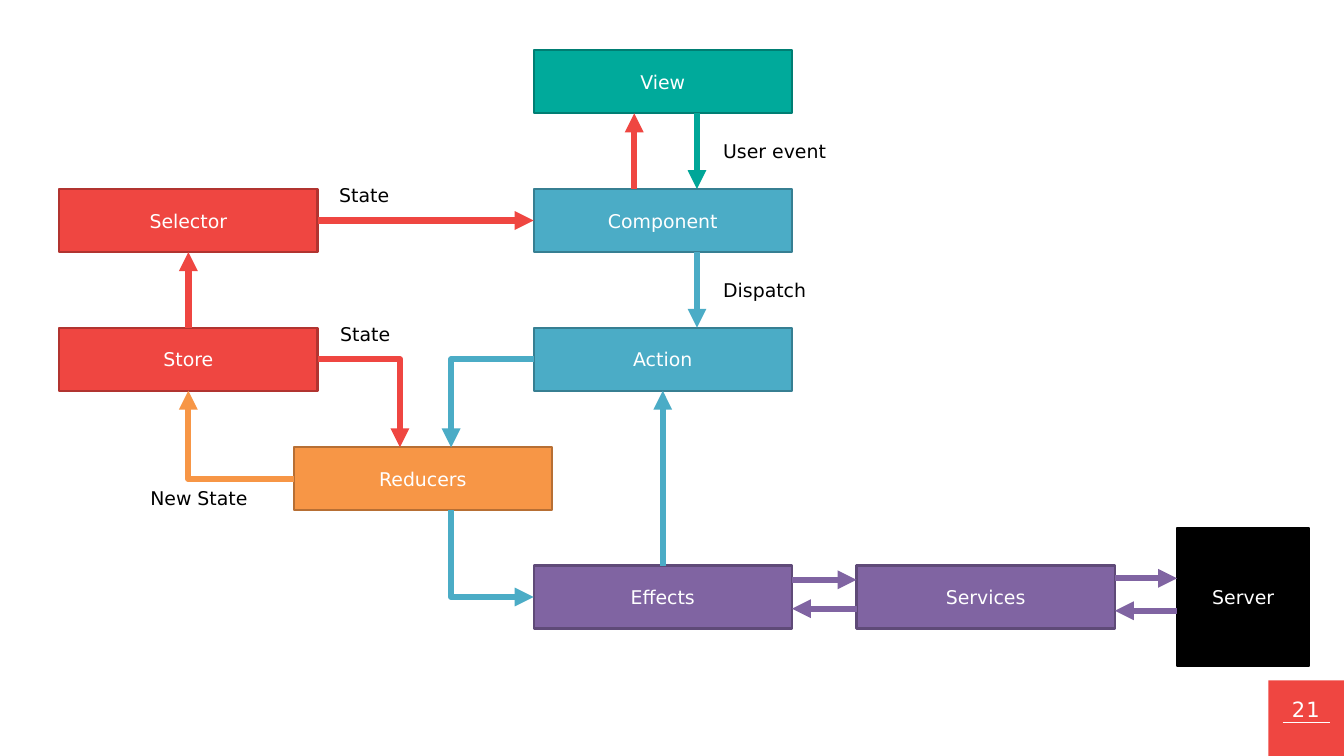
from lxml import etree
from pptx import Presentation
from pptx.dml.color import RGBColor
from pptx.enum.shapes import MSO_CONNECTOR, MSO_SHAPE
from pptx.enum.text import MSO_ANCHOR, MSO_AUTO_SIZE, PP_ALIGN
from pptx.oxml.ns import qn
from pptx.util import Cm, Pt

RECTANGLE = MSO_SHAPE.RECTANGLE
STRAIGHT, ELBOW = MSO_CONNECTOR.STRAIGHT, MSO_CONNECTOR.ELBOW
CENTER, MIDDLE = PP_ALIGN.CENTER, MSO_ANCHOR.MIDDLE
FIT_TEXT = MSO_AUTO_SIZE.SHAPE_TO_FIT_TEXT
TOP, LEFT, BOTTOM, RIGHT = range(4)

FONT = "DejaVu Sans"
WHITE = RGBColor(0xFF, 0xFF, 0xFF)
BLACK = RGBColor(0x00, 0x00, 0x00)
GREEN = RGBColor(0x00, 0xAA, 0x9B)
GREEN_EDGE = RGBColor(0x00, 0x7E, 0x73)
GREEN_ARROW = RGBColor(0x00, 0xA6, 0x98)
BLUE = RGBColor(0x4B, 0xAC, 0xC6)
BLUE_EDGE = RGBColor(0x37, 0x7F, 0x92)
RED = RGBColor(0xEF, 0x46, 0x41)
RED_EDGE = RGBColor(0xB1, 0x34, 0x30)
ORANGE = RGBColor(0xF7, 0x96, 0x46)
ORANGE_EDGE = RGBColor(0xB7, 0x6F, 0x34)
PURPLE = RGBColor(0x80, 0x64, 0xA2)
PURPLE_EDGE = RGBColor(0x5F, 0x4A, 0x78)

# Grid, in centimetres
BOX_WIDTH, BOX_HEIGHT = 8.68, 2.12
STORE_LEFT, REDUCERS_LEFT, MAIN_LEFT, SERVICES_LEFT = 1.99, 9.87, 17.93, 28.78
VIEW_TOP, COMPONENT_TOP, ACTION_TOP = (1.69 + 4.66 * row for row in range(3))
REDUCERS_TOP, EFFECTS_TOP = 15.03, 19.0


def add_run(paragraph, text, color, size=18):
    run = paragraph.add_run()
    run.text = text
    run.font.name = FONT
    run.font.size = Pt(size)
    run.font.color.rgb = color
    return run


def add_box(slide, text, left, top, fill, edge, width=BOX_WIDTH, height=BOX_HEIGHT):
    shape = slide.shapes.add_shape(RECTANGLE, Cm(left), Cm(top), Cm(width), Cm(height))
    shape.shadow.inherit = False
    shape.fill.solid()
    shape.fill.fore_color.rgb = fill
    shape.line.color.rgb = edge
    shape.line.width = Pt(2)
    shape.text_frame.vertical_anchor = MIDDLE
    paragraph = shape.text_frame.paragraphs[0]
    paragraph.alignment = CENTER
    add_run(paragraph, text, WHITE)
    return shape


def add_label(slide, text, left, top, width):
    label = slide.shapes.add_textbox(Cm(left), Cm(top), Cm(width), Cm(1.03))
    label.text_frame.word_wrap = False
    label.text_frame.auto_size = FIT_TEXT
    add_run(label.text_frame.paragraphs[0], text, BLACK)


def add_line(slide, kind, begin, end, color, width):
    line = slide.shapes.add_connector(kind, *begin, *end)
    line.line.color.rgb = color
    line.line.width = Pt(width)
    etree.SubElement(line._element.spPr, qn("a:effectLst"))
    return line


def add_arrow(slide, begin, end, color, kind=STRAIGHT):
    arrow = add_line(slide, kind, begin, end, color, 6)
    outline = arrow.line._get_or_add_ln()
    etree.SubElement(outline, qn("a:round"))
    etree.SubElement(outline, qn("a:tailEnd"), type="triangle")
    return arrow


def join(slide, source, source_side, target, target_side, color):
    """Straight arrow between the middles of two box sides."""
    arrow = add_arrow(slide, (0, 0), (0, 0), color)
    arrow.begin_connect(source, source_side)
    arrow.end_connect(target, target_side)


def add_elbow(slide, begin, end, color, vertical_first=False):
    """Arrow with one corner; a vertical start needs a quarter turn."""
    if vertical_first:
        center_x, center_y = (begin[0] + end[0]) // 2, (begin[1] + end[1]) // 2
        half_x, half_y = (end[0] - begin[0]) // 2, (end[1] - begin[1]) // 2
        begin = center_x + half_y, center_y - half_x
        end = center_x - half_y, center_y + half_x
    arrow = add_arrow(slide, begin, end, color, ELBOW)
    properties = arrow._element.spPr
    properties.find(qn("a:prstGeom")).set("prst", "bentConnector2")
    if vertical_first:
        properties.find(qn("a:xfrm")).set("rot", str(270 * 60000))


def right_of(shape):
    return shape.left + shape.width


def bottom_of(shape):
    return shape.top + shape.height


def middle_of(shape):
    return shape.top + shape.height // 2


def add_page_number(slide):
    square = slide.shapes.add_shape(RECTANGLE, Cm(42.62), Cm(22.86), Cm(2.54), Cm(2.54))
    square.shadow.inherit = False
    square.fill.solid()
    square.fill.fore_color.rgb = RED
    square.line.fill.background()

    number = slide.shapes.add_textbox(Cm(42.93), Cm(23.34), Cm(1.9), Cm(0.79))
    frame = number.text_frame
    frame.word_wrap = True
    frame.margin_left = frame.margin_right = frame.margin_bottom = 0
    frame.margin_top = Cm(0.07)
    paragraph = frame.paragraphs[0]
    paragraph.alignment = CENTER
    paragraph.space_before = Pt(2)
    run = add_run(paragraph, "21", WHITE, 20)
    run.font._element.set("spc", "100")

    add_line(slide, STRAIGHT, (Cm(43.1), Cm(24.26)), (Cm(44.68), Cm(24.26)), WHITE, 0.5)


def main():
    presentation = Presentation()
    presentation.slide_width, presentation.slide_height = Cm(45.16), Cm(25.4)
    slide = presentation.slides.add_slide(presentation.slide_layouts[6])
    add_page_number(slide)

    # Boxes
    view = add_box(slide, "View", MAIN_LEFT, VIEW_TOP, GREEN, GREEN_EDGE)
    component = add_box(slide, "Component", MAIN_LEFT, COMPONENT_TOP, BLUE, BLUE_EDGE)
    action = add_box(slide, "Action", MAIN_LEFT, ACTION_TOP, BLUE, BLUE_EDGE)
    selector = add_box(slide, "Selector", STORE_LEFT, COMPONENT_TOP, RED, RED_EDGE)
    store = add_box(slide, "Store", STORE_LEFT, ACTION_TOP, RED, RED_EDGE)
    reducers = add_box(slide, "Reducers", REDUCERS_LEFT, REDUCERS_TOP, ORANGE, ORANGE_EDGE)
    effects = add_box(slide, "Effects", MAIN_LEFT, EFFECTS_TOP, PURPLE, PURPLE_EDGE)
    services = add_box(slide, "Services", SERVICES_LEFT, EFFECTS_TOP, PURPLE, PURPLE_EDGE)
    server = add_box(slide, "Server", 39.55, 17.73, BLACK, BLACK, 4.45, 4.66)

    # Arrows between side middles
    join(slide, store, TOP, selector, BOTTOM, RED)
    join(slide, selector, RIGHT, component, LEFT, RED)
    join(slide, effects, TOP, action, BOTTOM, BLUE)

    # Vertical arrows of the main column
    down_x, up_x = Cm(23.42), Cm(21.31)
    for upper, lower, color in ((view, component, GREEN_ARROW), (component, action, BLUE)):
        add_arrow(slide, (down_x, bottom_of(upper)), (down_x, lower.top), color)
    add_arrow(slide, (up_x, component.top), (up_x, bottom_of(view)), RED)

    # Request and response pairs
    for near, far, request, response in (
        (effects, services, 19.48, 20.45),
        (services, server, 19.43, 20.52),
    ):
        add_arrow(slide, (right_of(near), Cm(request)), (far.left, Cm(request)), PURPLE)
        add_arrow(slide, (far.left, Cm(response)), (right_of(near), Cm(response)), PURPLE)

    # Elbow arrows around the reducers
    state_x, action_x = Cm(13.44), Cm(15.16)
    store_x = store.left + store.width // 2
    add_elbow(slide, (action.left, middle_of(action)), (action_x, reducers.top), BLUE)
    add_elbow(slide, (right_of(store), middle_of(store)), (state_x, reducers.top), RED)
    add_elbow(slide, (reducers.left, middle_of(reducers)), (store_x, bottom_of(store)), ORANGE)
    add_elbow(slide, (action_x, bottom_of(reducers)), (effects.left, middle_of(effects)),
              BLUE, vertical_first=True)

    # Arrow labels
    for text, left, top, width in (
        ("User event", 24.05, 4.57, 3.99),
        ("Dispatch", 24.05, 9.23, 3.3),
        ("State", 11.15, 6.04, 2.24),
        ("State", 11.18, 10.7, 2.24),
        ("New State", 4.8, 16.23, 3.84),
    ):
        add_label(slide, text, left, top, width)

    presentation.save("out.pptx")


if __name__ == "__main__":
    main()
